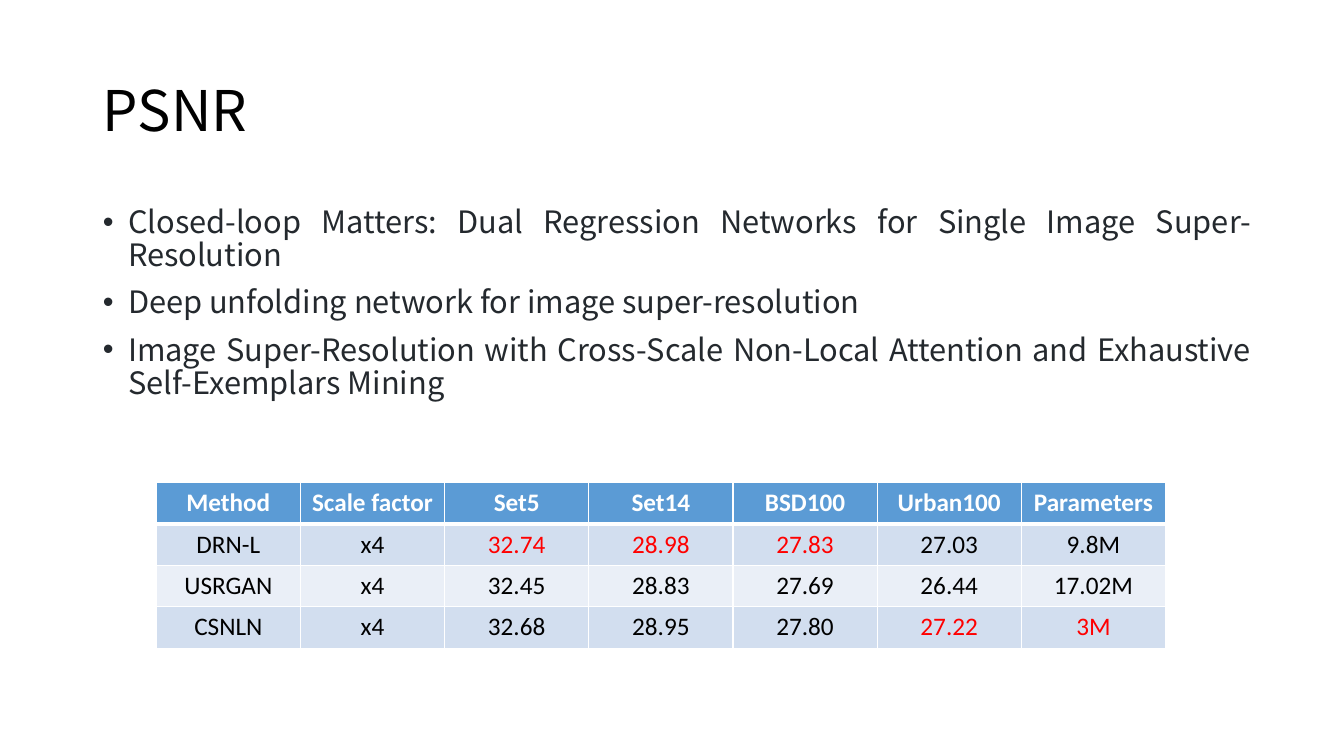
from lxml import etree
from pptx import Presentation
from pptx.dml.color import RGBColor
from pptx.enum.text import MSO_ANCHOR, MSO_AUTO_SIZE, PP_ALIGN
from pptx.oxml.ns import qn
from pptx.util import Inches, Pt

LEFT, CENTER, JUSTIFY = PP_ALIGN.LEFT, PP_ALIGN.CENTER, PP_ALIGN.JUSTIFY
MIDDLE, NO_FIT = MSO_ANCHOR.MIDDLE, MSO_AUTO_SIZE.NONE

COLORS = {
    "title": "000000", "body": "24292E", "cell": "000000", "best": "FF0000",
    "header": "5B9BD5", "header_text": "FFFFFF", "border": "FFFFFF",
    "band_dark": "D2DEEF", "band_light": "EAEFF7",
}
TEXT_FONT, TABLE_FONT = "Noto Sans CJK SC", "Calibri"
WIDTH, HEIGHT = 13.33, 7.5
MARGIN = 0.92
COL_W, ROW_H = 1.43, 0.41

PAPERS = [
    "Closed-loop Matters: Dual Regression Networks for Single Image Super-Resolution",
    "Deep unfolding network for image super-resolution",
    "Image Super-Resolution with Cross-Scale Non-Local Attention and Exhaustive "
    "Self-Exemplars Mining",
]
HEADER = ["Method", "Scale factor", "Set5", "Set14", "BSD100", "Urban100", "Parameters"]
RESULTS = [
    ["DRN-L", "x4", "32.74", "28.98", "27.83", "27.03", "9.8M"],
    ["USRGAN", "x4", "32.45", "28.83", "27.69", "26.44", "17.02M"],
    ["CSNLN", "x4", "32.68", "28.95", "27.80", "27.22", "3M"],
]
FIRST_SCORE = 2  # column of the first PSNR score


def place(shape, left, top, width, height):
    shape.left, shape.top = Inches(left), Inches(top)
    shape.width, shape.height = Inches(width), Inches(height)


def format_paragraph(p, font, size, color, align, bold=False):
    p.alignment = align
    for r in p.runs:
        r.font.name, r.font.size, r.font.bold = font, Pt(size), bold
        r.font.color.rgb = RGBColor.from_string(COLORS[color])


def add_bullet(p, indent):
    pPr = p._p.get_or_add_pPr()
    pPr.set("marL", str(Inches(indent)))
    pPr.set("indent", str(-Inches(indent)))
    etree.SubElement(pPr, qn("a:buFont"), typeface="Arial")
    etree.SubElement(pPr, qn("a:buChar"), char="•")


def set_title(s, text):
    title = s.shapes.title
    place(title, MARGIN, 0.4, WIDTH - 2 * MARGIN, 1.45)
    tf = title.text_frame
    tf.text = text
    tf.vertical_anchor, tf.auto_size = MIDDLE, NO_FIT
    p = tf.paragraphs[0]
    p.line_spacing = 0.9
    format_paragraph(p, TEXT_FONT, 40, "title", LEFT)


def set_bullets(s, items):
    body = s.placeholders[1]
    place(body, MARGIN, 2, 11.59, 4.76)
    tf = body.text_frame
    tf.text = "\n".join(items)
    tf.auto_size = NO_FIT
    for p in tf.paragraphs:
        p.line_spacing, p.space_before = 0.9, Pt(10)
        format_paragraph(p, TEXT_FONT, 22, "body", JUSTIFY)
        add_bullet(p, 0.25)


def set_borders(cell, top, bottom):
    tcPr = cell._tc.get_or_add_tcPr()
    for side, width in (("L", 1), ("R", 1), ("T", top), ("B", bottom)):
        ln = etree.SubElement(tcPr, qn(f"a:ln{side}"), w=str(Pt(width)))
        fill = etree.SubElement(ln, qn("a:solidFill"))
        etree.SubElement(fill, qn("a:srgbClr"), val=COLORS["border"])


def best_values():
    """Highest score of each data set and smallest parameter count, by column."""
    best = {}
    for col in range(FIRST_SCORE, len(HEADER)):
        pick = min if HEADER[col] == "Parameters" else max
        best[col] = pick((row[col] for row in RESULTS),
                         key=lambda v: float(v.rstrip("M")))
    return best


def add_results(s, left, top):
    rows = [HEADER] + RESULTS
    frame = s.shapes.add_table(len(rows), len(HEADER), Inches(left), Inches(top),
                               Inches(COL_W * len(HEADER)), Inches(ROW_H * len(rows)))
    table, best = frame.table, best_values()
    for column in table.columns:
        column.width = Inches(COL_W)
    for i, row in enumerate(rows):
        table.rows[i].height = Inches(ROW_H)
        for j, value in enumerate(row):
            cell = table.cell(i, j)
            if i == 0:
                fill, color = "header", "header_text"
            else:
                fill = "band_dark" if i % 2 else "band_light"
                color = "best" if best.get(j) == value else "cell"
            # A thick rule parts the header from the results
            set_borders(cell, 3 if i == 1 else 1, 3 if i == 0 else 1)
            cell.fill.solid()
            cell.fill.fore_color.rgb = RGBColor.from_string(COLORS[fill])
            cell.text_frame.text = value
            format_paragraph(cell.text_frame.paragraphs[0], TABLE_FONT, 18,
                             color, CENTER, bold=i == 0)


def main():
    prs = Presentation()
    prs.slide_width, prs.slide_height = Inches(WIDTH), Inches(HEIGHT)
    s = prs.slides.add_slide(prs.slide_layouts[1])
    set_title(s, "PSNR")
    set_bullets(s, PAPERS)
    add_results(s, 1.55, 4.79)
    prs.save("out.pptx")


if __name__ == "__main__":
    main()
